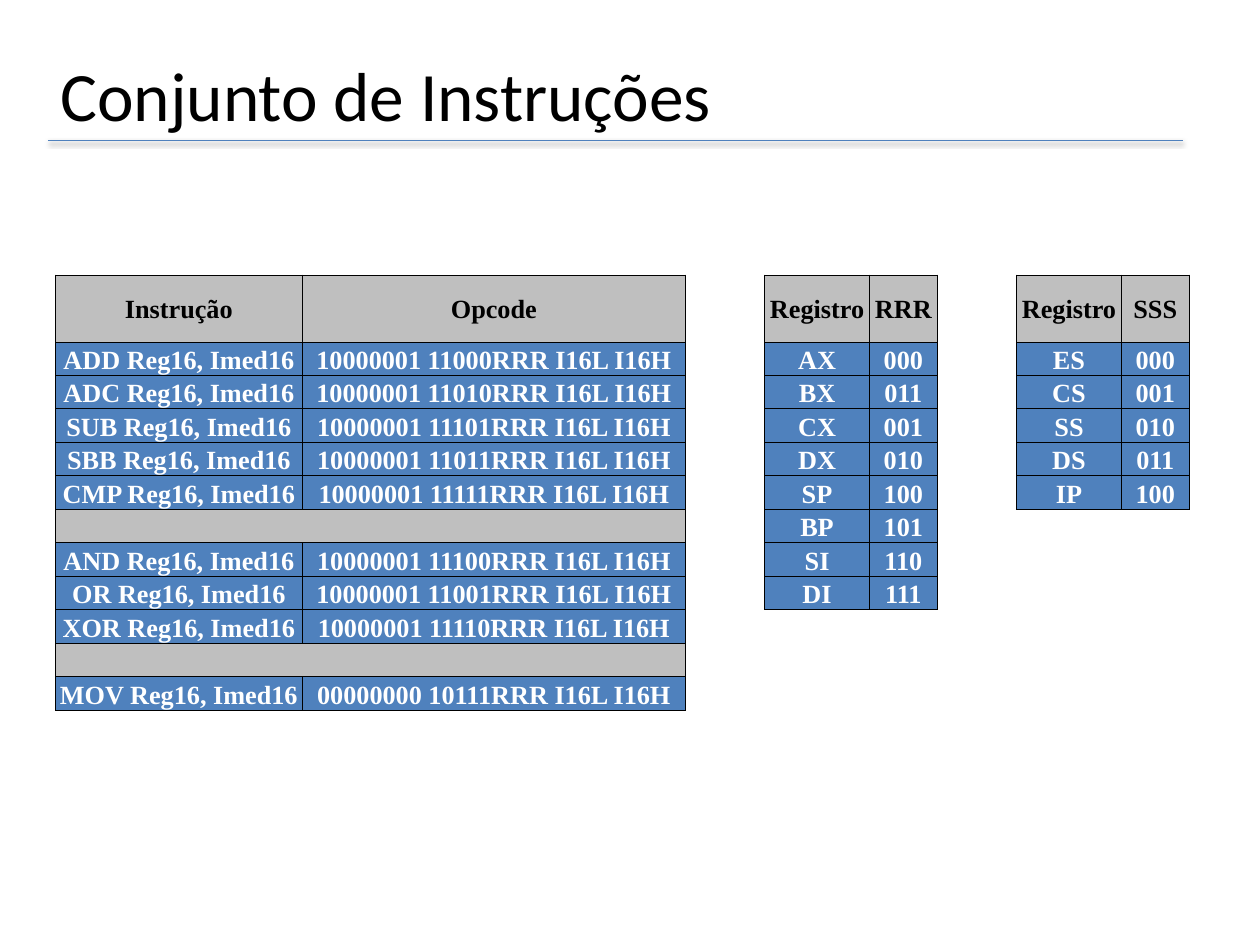
from dataclasses import dataclass
from typing import Optional

from lxml import etree
from pptx import Presentation
from pptx import util as u
from pptx.dml.color import RGBColor
from pptx.enum import shapes, text
from pptx.oxml import ns

COLOURS = {"ink": "000000", "header": "BFBFBF", "body": "4F81BD", "white": "FFFFFF"}
SLIDE_WIDTH, SLIDE_HEIGHT = u.Inches(10), u.Inches(7.5)

# Grid, in percent of the slide's width and height
COLUMNS = [19.6, 30.4, 6.3, 8.3, 5.4, 6.3, 8.3, 5.4]
ROWS = [3.55] * 3 + [3.2] + [3.55] * 9
HEADER_ROWS = 2
CELL_FORMAT = {"name": "Times New Roman", "size": u.Pt(15), "bold": True}
CELL_MARGINS = {"margin_left": u.Inches(0.01), "margin_right": u.Inches(0.01),
                "margin_top": u.Inches(0.01), "margin_bottom": 0}


@dataclass
class Block:
    """A two-column group of the table; a None entry is a separator row."""
    column: int
    headers: tuple[str, str]
    entries: list[Optional[tuple[str, str]]]


def instruction(name: str, code: str, first: str = "10000001") -> tuple[str, str]:
    return f"{name} Reg16, Imed16", f"{first} {code}RRR I16L I16H"


BLOCKS = [
    Block(0, ("Instrução", "Opcode"), [
        instruction("ADD", "11000"), instruction("ADC", "11010"),
        instruction("SUB", "11101"), instruction("SBB", "11011"),
        instruction("CMP", "11111"), None,
        instruction("AND", "11100"), instruction("OR", "11001"),
        instruction("XOR", "11110"), None,
        instruction("MOV", "10111", "00000000")]),
    Block(3, ("Registro", "RRR"), [
        ("AX", "000"), ("BX", "011"), ("CX", "001"), ("DX", "010"),
        ("SP", "100"), ("BP", "101"), ("SI", "110"), ("DI", "111")]),
    Block(6, ("Registro", "SSS"), [
        ("ES", "000"), ("CS", "001"), ("SS", "010"), ("DS", "011"), ("IP", "100")]),
]


def across(percent: float) -> int:
    return int(SLIDE_WIDTH * percent / 100)


def down(percent: float) -> int:
    return int(SLIDE_HEIGHT * percent / 100)


def colour(name: str) -> RGBColor:
    return RGBColor.from_string(COLOURS[name])


def set_values(target, values: dict) -> None:
    for name, value in values.items():
        setattr(target, name, value)


def add_title(slide, wording: str) -> None:
    shape = slide.shapes.add_textbox(across(3.8), down(7.5), across(86.2), down(4.9))
    frame = shape.text_frame
    set_values(frame, {"word_wrap": True, "vertical_anchor": text.MSO_ANCHOR.MIDDLE})
    run = frame.paragraphs[0].add_run()
    run.text = wording
    set_values(run.font, {"name": "Calibri", "size": u.Pt(39.6)})
    run.font.color.rgb = colour("ink")


def add_rule(slide) -> None:
    height = down(14.8)
    line = slide.shapes.add_connector(shapes.MSO_CONNECTOR.STRAIGHT,
                                      across(3.8), height, across(93.9), height)
    line.line.width = u.Pt(0.25)
    line.line.color.rgb = colour("body")
    # Soft shadow straight below the line
    effects = etree.SubElement(line._element.spPr, ns.qn("a:effectLst"))
    shadow = etree.SubElement(effects, ns.qn("a:outerShdw"), blurRad=str(u.Pt(3.1)),
                              dist=str(u.Pt(1.8)), dir="5400000", rotWithShape="0")
    tint = etree.SubElement(shadow, ns.qn("a:srgbClr"), val=COLOURS["ink"])
    etree.SubElement(tint, ns.qn("a:alpha"), val="35000")


def write_cell(cell, wording: str, fill: str, ink: str, anchor) -> None:
    set_values(cell, {**CELL_MARGINS, "vertical_anchor": anchor})
    cell.fill.solid()
    cell.fill.fore_color.rgb = colour(fill)
    paragraph = cell.text_frame.paragraphs[0]
    paragraph.alignment = text.PP_ALIGN.CENTER
    if wording:
        run = paragraph.add_run()
        run.text = wording
        set_values(run.font, CELL_FORMAT)
        run.font.color.rgb = colour(ink)


def fill_block(table, block: Block) -> set[tuple[int, int]]:
    """Write one block and return the grid places it covers."""
    covered = set()
    for offset, header in enumerate(block.headers):
        column = block.column + offset
        cell = table.cell(0, column)
        cell.merge(table.cell(HEADER_ROWS - 1, column))
        write_cell(cell, header, "header", "ink", text.MSO_ANCHOR.MIDDLE)
        covered |= {(row, column) for row in range(HEADER_ROWS)}
    for row, entry in enumerate(block.entries, HEADER_ROWS):
        cells = [table.cell(row, block.column + offset) for offset in range(2)]
        if entry is None:
            cells[0].merge(cells[1])
        for cell, wording in zip(cells, entry or ("", "")):
            write_cell(cell, wording, "body" if entry else "header", "white",
                       text.MSO_ANCHOR.BOTTOM)
        covered |= {(row, block.column), (row, block.column + 1)}
    return covered


def draw_borders(cell, row: int, column: int, covered: set[tuple[int, int]]) -> None:
    """Draw each side that touches a covered place; clear the others."""
    properties = cell._tc.get_or_add_tcPr()
    sides = {"L": (row, column - 1), "R": (row, column + 1),
             "T": (row - 1, column), "B": (row + 1, column)}
    for index, (side, neighbour) in enumerate(sides.items()):
        line = etree.Element(ns.qn(f"a:ln{side}"), w=str(u.Pt(0.5)))
        properties.insert(index, line)
        if covered & {(row, column), neighbour}:
            solid = etree.SubElement(line, ns.qn("a:solidFill"))
            etree.SubElement(solid, ns.qn("a:srgbClr"), val=COLOURS["ink"])
        else:
            etree.SubElement(line, ns.qn("a:noFill"))


def add_instruction_table(slide) -> None:
    frame = slide.shapes.add_table(len(ROWS), len(COLUMNS), across(4.4), down(29.1),
                                   across(sum(COLUMNS)), down(sum(ROWS)))
    table = frame.table
    set_values(table, {"first_row": False, "horz_banding": False})
    for column, width in zip(table.columns, COLUMNS):
        column.width = across(width)
    for row, height in zip(table.rows, ROWS):
        row.height = down(height)

    covered = set()
    for block in BLOCKS:
        covered |= fill_block(table, block)

    for row in range(len(ROWS)):
        for column in range(len(COLUMNS)):
            cell = table.cell(row, column)
            if (row, column) not in covered:
                cell.fill.background()
            if not cell.text:
                # Small empty cells keep the row heights of the grid
                set_values(cell, CELL_MARGINS)
                etree.SubElement(cell.text_frame.paragraphs[0]._p,
                                 ns.qn("a:endParaRPr"), sz="1000")
            draw_borders(cell, row, column, covered)


def main() -> None:
    presentation = Presentation()
    set_values(presentation, {"slide_width": SLIDE_WIDTH, "slide_height": SLIDE_HEIGHT})
    slide = presentation.slides.add_slide(presentation.slide_layouts[6])
    add_title(slide, "Conjunto de Instruções")
    add_rule(slide)
    add_instruction_table(slide)
    presentation.save("out.pptx")


if __name__ == "__main__":
    main()
